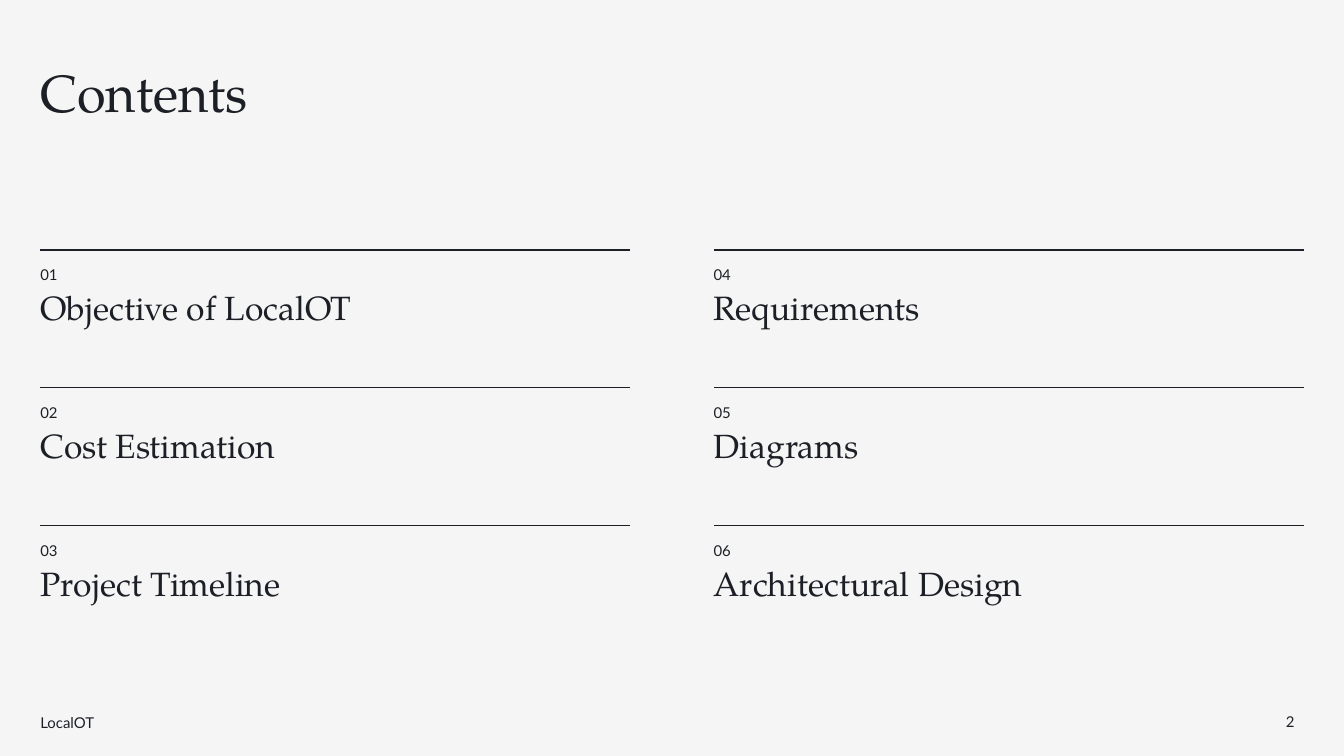
from collections import namedtuple
from dataclasses import dataclass

from lxml.etree import SubElement
from pptx import Presentation
from pptx.dml.color import RGBColor as Rgb
from pptx.enum.shapes import MSO_CONNECTOR as Connector
from pptx.enum.text import MSO_ANCHOR as Anchor, MSO_AUTO_SIZE as AutoSize
from pptx.oxml.ns import qn
from pptx.util import Inches, Pt

Box = namedtuple("Box", "left top width height")


@dataclass(frozen=True)
class Theme:
    ink: Rgb = Rgb(0x1C, 0x20, 0x26)
    paper: Rgb = Rgb(0xF5, 0xF5, 0xF5)
    serif: str = "TeX Gyre Pagella"
    sans: str = "Lato"
    title_size: int = 28
    topic_size: int = 18
    small_size: int = 8
    rule_width: float = 0.75
    tight: float = 0.9
    loose: float = 1.15


THEME = Theme()
PAGE_WIDTH = 10
PAGE_HEIGHT = PAGE_WIDTH * 9 / 16
MARGIN = 0.3
CONTENT_WIDTH = PAGE_WIDTH - 2 * MARGIN
ROWS = 3
GRID_TOP, LAST_ROW_TOP = 1.86, 3.91
ROW_STEP = (LAST_ROW_TOP - GRID_TOP) / (ROWS - 1)
COLUMN_WIDTH = 4.39
COLUMN_STEP = CONTENT_WIDTH - COLUMN_WIDTH
TOPICS = [
    "Objective of LocalOT", "Cost Estimation", "Project Timeline",
    "Requirements", "Diagrams", "Architectural Design",
]


def add_text(slide, box, text, font, size, spacing=1.0,
             anchor=Anchor.TOP, inset=0, grow=False):
    frame = slide.shapes.add_textbox(*map(Inches, box)).text_frame
    frame.word_wrap = True
    frame.auto_size = AutoSize.SHAPE_TO_FIT_TEXT if grow else AutoSize.NONE
    frame.vertical_anchor = anchor
    frame.margin_left = frame.margin_right = Inches(inset)
    frame.margin_top = frame.margin_bottom = Inches(inset)
    paragraph = frame.paragraphs[0]
    paragraph.line_spacing = spacing
    run = paragraph.add_run()
    run.text = text
    run.font.name = font
    run.font.size = Pt(size)
    run.font.color.rgb = THEME.ink


def add_rule(slide, left, top, width):
    rule = slide.shapes.add_connector(
        Connector.STRAIGHT, Inches(left + width), Inches(top),
        Inches(left), Inches(top))
    rule.line.color.rgb = THEME.ink
    rule.line.width = Pt(THEME.rule_width)
    SubElement(rule._element.spPr, qn("a:effectLst"))


def add_heading(slide, box, text):
    add_text(slide, box, text, THEME.serif, THEME.title_size,
             THEME.tight, grow=True)


def add_entry(slide, box, number, topic):
    add_rule(slide, box.left, box.top, box.width)
    number_box = Box(box.left, box.top + 0.1, box.width * 0.45, 0.15)
    add_text(slide, number_box, f"{number:02d}", THEME.sans,
             THEME.small_size, THEME.loose)
    topic_box = Box(box.left, box.top + 0.31, box.width * 0.83, 0.27)
    add_text(slide, topic_box, topic, THEME.serif, THEME.topic_size,
             THEME.tight, grow=True)


def add_contents(slide, box, topics):
    """Fill the grid column by column, numbering the topics from 1."""
    for index, topic in enumerate(topics):
        column, row = divmod(index, ROWS)
        cell = Box(box.left + column * COLUMN_STEP,
                   box.top + row * ROW_STEP, COLUMN_WIDTH, ROW_STEP)
        add_entry(slide, cell, index + 1, topic)


def add_footer(slide, box, label, page):
    label_box = Box(box.left, box.top, 2.2, box.height)
    add_text(slide, label_box, label, THEME.sans, THEME.small_size,
             THEME.loose, Anchor.MIDDLE)
    page_box = Box(box.left + box.width - 0.23, box.top, 0.37, box.height)
    add_text(slide, page_box, str(page), THEME.sans, THEME.small_size,
             anchor=Anchor.MIDDLE, inset=0.1)


def main():
    deck = Presentation()
    deck.slide_width = Inches(PAGE_WIDTH)
    deck.slide_height = Inches(PAGE_HEIGHT)
    slide = deck.slides.add_slide(deck.slide_layouts[6])
    slide.background.fill.solid()
    slide.background.fill.fore_color.rgb = THEME.paper

    add_heading(slide, Box(MARGIN, 0.5, CONTENT_WIDTH, 0.42), "Contents")
    grid = Box(MARGIN, GRID_TOP, CONTENT_WIDTH, ROWS * ROW_STEP)
    add_contents(slide, grid, TOPICS)
    add_footer(slide, Box(MARGIN, 5.27, CONTENT_WIDTH, 0.2), "LocalOT", 2)
    deck.save("out.pptx")


if __name__ == "__main__":
    main()
